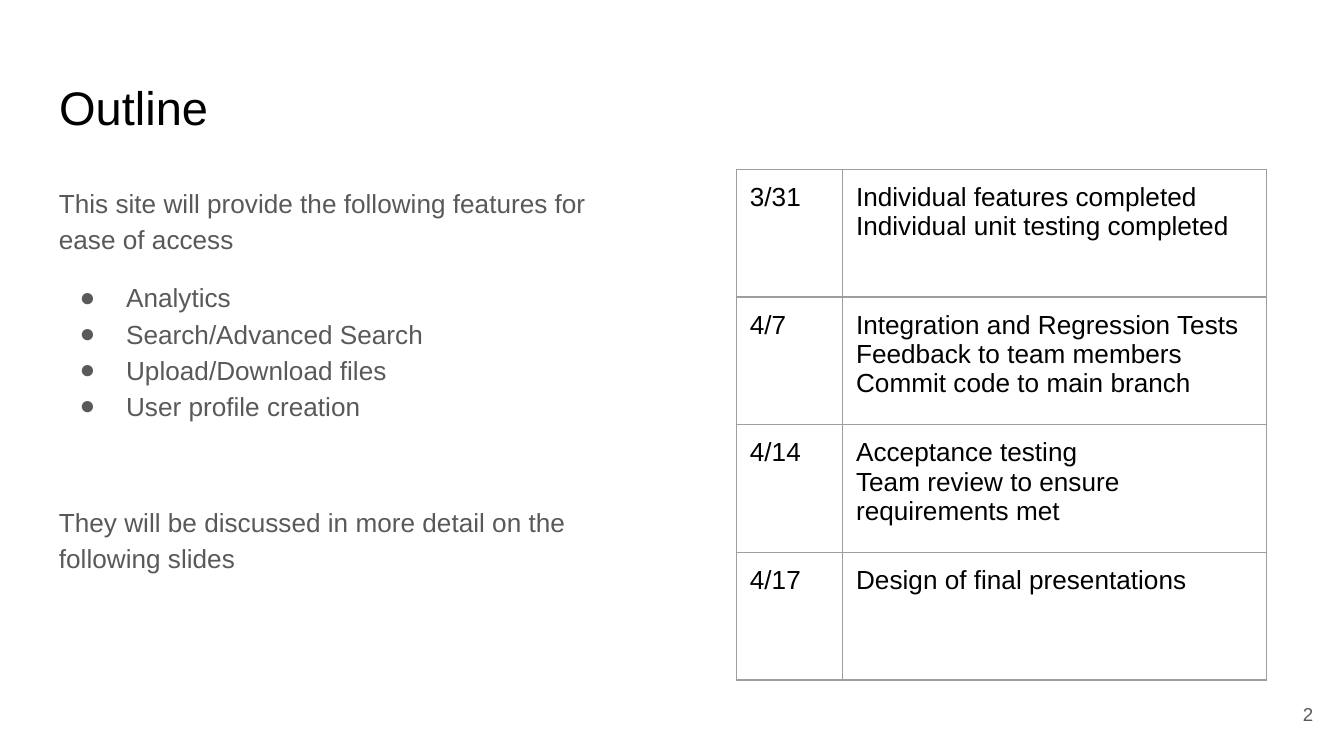
from lxml import etree
from pptx import Presentation
from pptx.dml.color import RGBColor
from pptx.enum.text import MSO_ANCHOR, MSO_AUTO_SIZE, PP_ALIGN
from pptx.oxml.ns import qn
from pptx.util import Pt

TOP, MIDDLE = MSO_ANCHOR.TOP, MSO_ANCHOR.MIDDLE
LEFT, RIGHT = PP_ALIGN.LEFT, PP_ALIGN.RIGHT
NO_FIT = MSO_AUTO_SIZE.NONE

BLACK = RGBColor(0x00, 0x00, 0x00)
GRAY = RGBColor(0x59, 0x59, 0x59)
BORDER = RGBColor(0x9E, 0x9E, 0x9E)
FONT = "Arial"

PX = 4572
INSET = 20
TABLE_LEFT, TABLE_TOP = 1096, 252
COL_WIDTHS = [158, 631]
ROW_HEIGHT = 190

TITLE = "Outline"
INTRO = "This site will provide the following features for ease of access"
FEATURES = ["Analytics", "Search/Advanced Search", "Upload/Download files", "User profile creation"]
CLOSING = "They will be discussed in more detail on the following slides"
SCHEDULE = [
    ("3/31", ["Individual features completed", "Individual unit testing completed"]),
    ("4/7", ["Integration and Regression Tests", "Feedback to team members", "Commit code to main branch"]),
    ("4/14", ["Acceptance testing", "Team review to ensure requirements met"]),
    ("4/17", ["Design of final presentations"]),
]
PAGE = "2"


def px(n):
    return n * PX


def set_margins(obj):
    obj.margin_left = obj.margin_top = obj.margin_right = obj.margin_bottom = px(INSET)


def write(tf, lines, size, color, align=LEFT):
    tf.text = "\n".join(lines)
    for p in tf.paragraphs:
        p.alignment = align
        p.font.name, p.font.size = FONT, Pt(size)
        p.font.color.rgb = color


def prepare(shape, box, anchor=TOP):
    shape.left, shape.top, shape.width, shape.height = map(px, box)
    tf = shape.text_frame
    tf.word_wrap, tf.auto_size, tf.vertical_anchor = True, NO_FIT, anchor
    set_margins(tf)
    return tf


def add_text(s, box, anchor=TOP):
    return prepare(s.shapes.add_textbox(0, 0, 0, 0), box, anchor)


def add_bullet(p):
    pPr = p._p.get_or_add_pPr()
    pPr.set("marL", str(px(100)))
    pPr.set("indent", str(px(-69)))
    font = etree.Element(qn("a:buFont"), typeface=FONT)
    bullet = etree.Element(qn("a:buChar"), char="●")
    for element in (font, bullet):
        pPr.insert_element_before(element, "a:tabLst", "a:defRPr", "a:extLst")


def add_borders(cell):
    tcPr = cell._tc.get_or_add_tcPr()
    for i, side in enumerate(("lnL", "lnR", "lnT", "lnB")):
        ln = etree.Element(qn(f"a:{side}"), w=str(Pt(0.75)))
        fill = etree.SubElement(ln, qn("a:solidFill"))
        etree.SubElement(fill, qn("a:srgbClr"), val=str(BORDER))
        tcPr.insert(i, ln)


def add_features(s):
    tf = add_text(s, (68, 252, 874, 762))
    write(tf, [INTRO, *FEATURES, CLOSING], 14, GRAY)
    for p in tf.paragraphs:
        p.line_spacing = 1.15
    bullets = tf.paragraphs[1:-1]
    for p in bullets:
        add_bullet(p)
    bullets[0].space_before = Pt(12)
    tf.paragraphs[-1].space_before = Pt(43)


def add_schedule(s):
    rows, cols = len(SCHEDULE), len(COL_WIDTHS)
    table = s.shapes.add_table(rows, cols, px(TABLE_LEFT), px(TABLE_TOP),
                               px(sum(COL_WIDTHS)), px(rows * ROW_HEIGHT)).table
    table.first_row = table.horz_banding = False
    for col, width in zip(table.columns, COL_WIDTHS):
        col.width = px(width)
    for row, (date, tasks) in zip(table.rows, SCHEDULE):
        row.height = px(ROW_HEIGHT)
        for cell, lines in zip(row.cells, ([date], tasks)):
            write(cell.text_frame, lines, 14, BLACK)
            set_margins(cell)
            cell.vertical_anchor = TOP
            cell.fill.background()
            add_borders(cell)


prs = Presentation()
prs.slide_width, prs.slide_height = px(2000), px(1125)
s = prs.slides.add_slide(prs.slide_layouts[5])
write(prepare(s.shapes.title, (68, 97, 1864, 126)), [TITLE], 25.2, BLACK)
add_features(s)
add_schedule(s)
write(add_text(s, (1854, 1020, 120, 86), MIDDLE), [PAGE], 10, GRAY, RIGHT)
prs.save("out.pptx")
